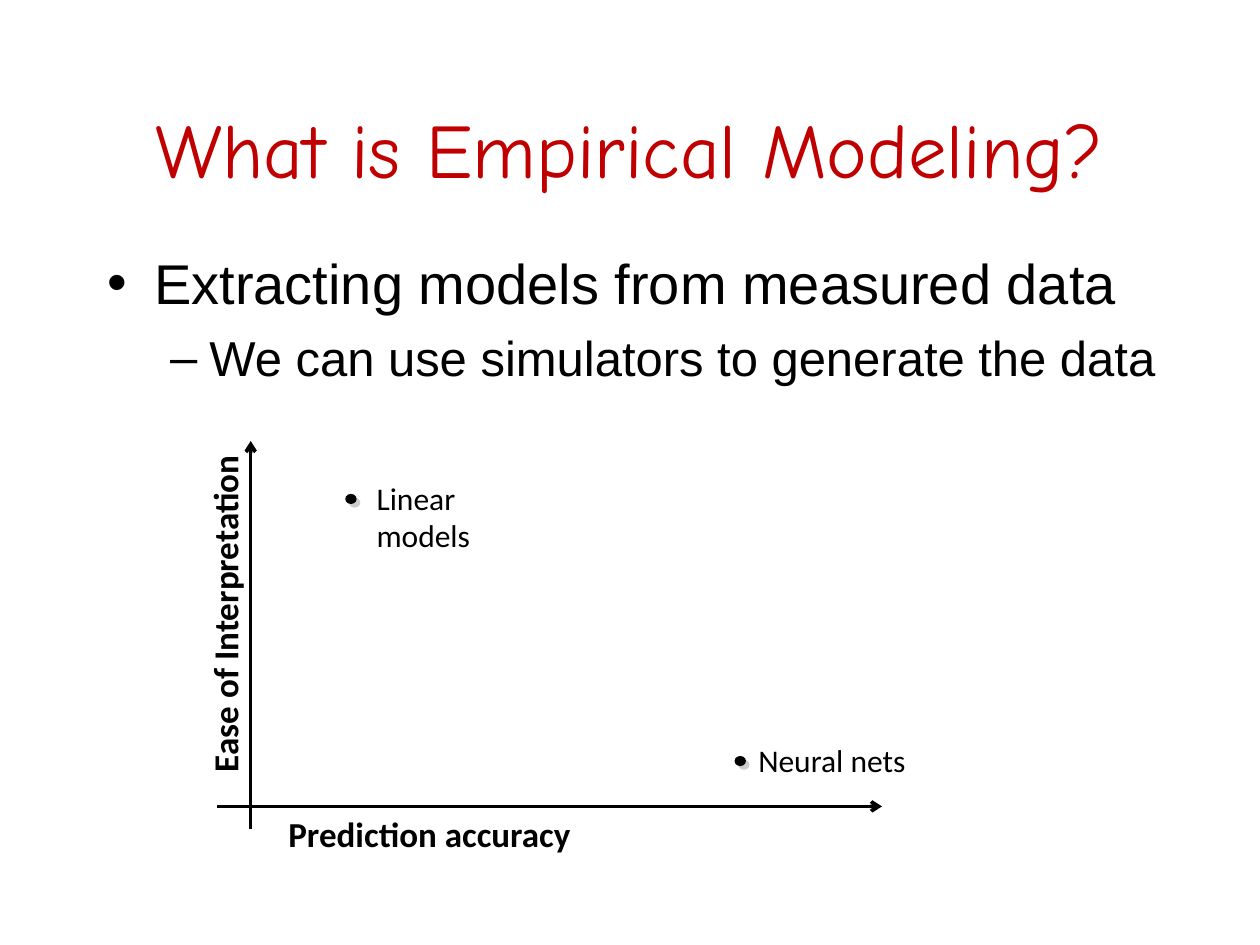
"""Build a slide that places two kinds of empirical model on a pair of axes."""
import pptx
import pptx.util
import pptx.dml.color
import pptx.enum.shapes
import pptx.enum.text
import pptx.oxml
import pptx.oxml.ns

Inches, Pt = pptx.util.Inches, pptx.util.Pt
COLORS = {"title": "C00000", "ink": "000000", "shadow": "808080"}


def write(para, text, size, font="Calibri", color="ink", bold=False):
    span = para.add_run()
    span.text = text
    span.font.size = Pt(size)
    span.font.name = font
    span.font.bold = bold
    span.font.color.rgb = pptx.dml.color.RGBColor.from_string(COLORS[color])


def drawing_xml(inner):
    return pptx.oxml.parse_xml(inner.replace("/>", f' {pptx.oxml.ns.nsdecls("a")}/>', 1)
                               if inner.endswith("/>") and inner.count("<") == 1
                               else inner.replace(">", f' {pptx.oxml.ns.nsdecls("a")}>', 1))


deck = pptx.Presentation()
deck.slide_width, deck.slide_height = Inches(10), Inches(7.5)
page = deck.slides.add_slide(deck.slide_layouts[1])
ink = pptx.dml.color.RGBColor.from_string(COLORS["ink"])

title = page.shapes.title
title.left, title.top, title.width, title.height = map(Inches, (0.75, 0.67, 8.5, 1))
title.text_frame.vertical_anchor = pptx.enum.text.MSO_ANCHOR.MIDDLE
heading = title.text_frame.paragraphs[0]
heading.alignment = pptx.enum.text.PP_ALIGN.CENTER
write(heading, "What is Empirical Modeling?", 44, font="Comic Neue", color="title")

body = page.placeholders[1]
body.left, body.top, body.width, body.height = map(Inches, (0.75, 1.92, 8.58, 4.67))
body.text_frame.auto_size = pptx.enum.text.MSO_AUTO_SIZE.NONE
point = body.text_frame.paragraphs[0]
point.space_before = Pt(0)
write(point, "Extracting models from measured data", 32, font="Arial")
detail = body.text_frame.add_paragraph()
detail.level = 1
detail.space_before = Pt(7)
write(detail, "We can use simulators to generate the data", 28, font="Arial")

for start_x, start_y, end_x, end_y in ((1.99, 6.58, 1.99, 3.5), (1.72, 6.4, 7, 6.4)):
    axis = page.shapes.add_connector(
        pptx.enum.shapes.MSO_CONNECTOR.STRAIGHT,
        Inches(start_x), Inches(start_y), Inches(end_x), Inches(end_y))
    axis.line.color.rgb = ink
    axis.line.width = Pt(2)
    axis.line._get_or_add_ln().append(drawing_xml('<a:tailEnd type="arrow"/>'))
    axis._element.spPr.append(drawing_xml("<a:effectLst/>"))

labels = (
    ("Prediction accuracy", 2.19, 6.4, 2.45, 0.44, 20, True, 0),
    ("Ease of Interpretation", 0.42, 4.64, 2.73, 0.44, 20, True, 270),
    ("Linear models", 2.89, 3.75, 1.62, 0.4, 18, False, 0),
    ("Neural nets", 5.92, 5.83, 1.5, 0.4, 18, False, 0),
)
for text, left, top, width, height, size, bold, rotation in labels:
    box = page.shapes.add_textbox(Inches(left), Inches(top), Inches(width), Inches(height))
    box.rotation = rotation
    box.text_frame.word_wrap = text == "Neural nets"
    box.text_frame.auto_size = pptx.enum.text.MSO_AUTO_SIZE.SHAPE_TO_FIT_TEXT
    write(box.text_frame.paragraphs[0], text, size, bold=bold)

for left, top in ((2.74, 3.92), (5.83, 6)):
    dot = page.shapes.add_shape(pptx.enum.shapes.MSO_SHAPE.OVAL,
                                Inches(left), Inches(top), Inches(0.09), Inches(0.08))
    dot.fill.solid()
    dot.fill.fore_color.rgb = ink
    dot.line.fill.background()
    dot._element.spPr.append(drawing_xml(
        f'<a:effectLst><a:outerShdw blurRad="0" dist="{Pt(3)}" dir="2700000">'
        f'<a:srgbClr val="{COLORS["shadow"]}"><a:alpha val="40000"/></a:srgbClr>'
        '</a:outerShdw></a:effectLst>'))

deck.save("out.pptx")
